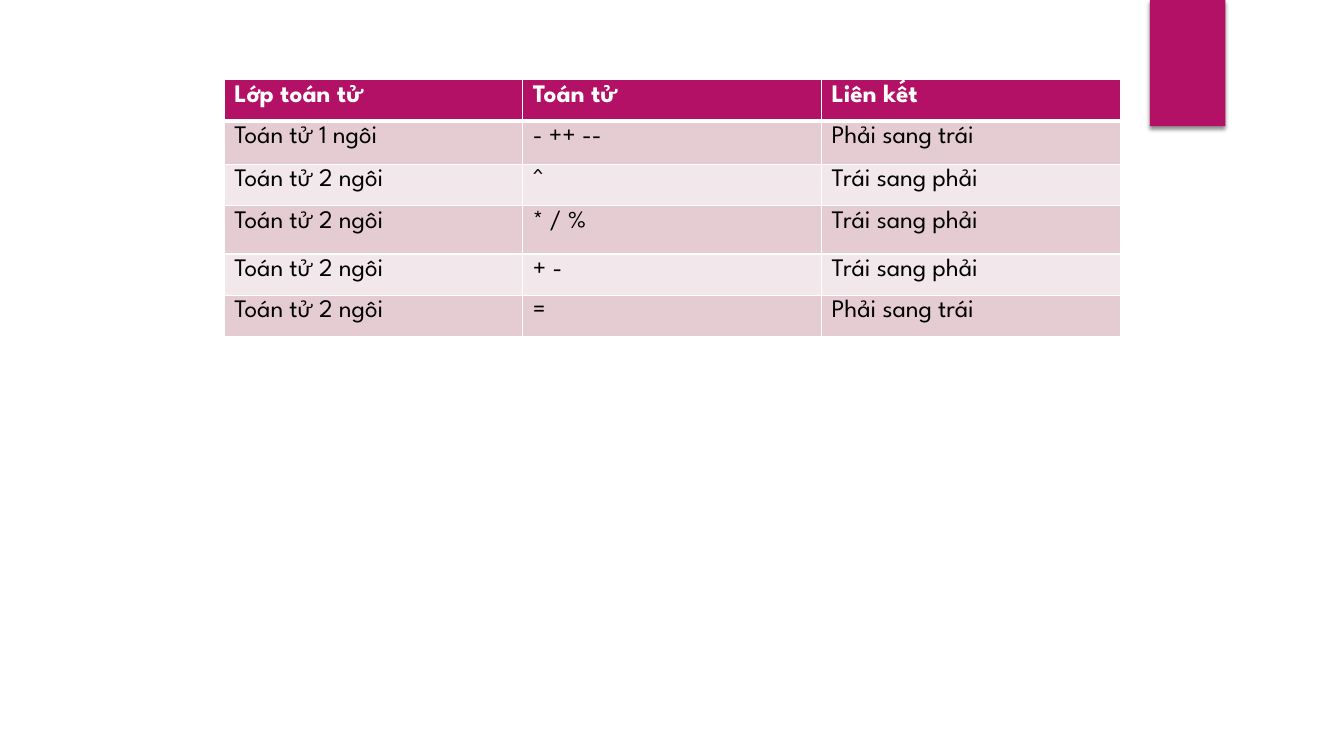
from dataclasses import dataclass

from lxml.etree import SubElement
from pptx import Presentation
from pptx.dml.color import RGBColor as Color
from pptx.enum.shapes import MSO_SHAPE as Shape
from pptx.oxml.ns import qn
from pptx.util import Cm, Pt


@dataclass(frozen=True)
class Theme:
    font: str = "League Spartan"
    text_size: int = 18
    accent: str = "B31166"
    light: str = "FFFFFF"
    dark: str = "000000"
    bands: tuple = ("E5CCD3", "F2E7EA")
    thin_line: int = 1
    thick_line: int = 3


HEADER = ("Lớp toán tử", "Toán tử", "Liên kết")
OPERATORS = (
    ("Toán tử 1 ngôi", "- ++ --", "Phải sang trái"),
    ("Toán tử 2 ngôi", "^", "Trái sang phải"),
    ("Toán tử 2 ngôi", "* / %", "Trái sang phải"),
    ("Toán tử 2 ngôi", "+ -", "Trái sang phải"),
    ("Toán tử 2 ngôi", "=", "Phải sang trái"),
)
ROW_HEIGHTS = (1.04, 1.09, 1.04, 1.22, 1.04, 1.04)


class SlideBuilder:
    def __init__(self, slide, theme):
        self.slide = slide
        self.theme = theme

    def ribbon(self, left, top, width, height):
        box = self.slide.shapes.add_shape(
            Shape.RECTANGLE, Cm(left), Cm(top), Cm(width), Cm(height))
        box.fill.solid()
        box.fill.fore_color.rgb = Color.from_string(self.theme.accent)
        box.line.fill.background()
        box.shadow.inherit = False
        self.drop_shadow(box)

    def drop_shadow(self, box):
        effects = box._element.spPr.find(qn("a:effectLst"))
        shadow = SubElement(effects, qn("a:outerShdw"), blurRad=str(Pt(3)),
                            dist=str(Pt(2)), dir="5400000", rotWithShape="0")
        color = SubElement(shadow, qn("a:srgbClr"), val=self.theme.dark)
        SubElement(color, qn("a:alpha"), val="45000")

    def table(self, left, top, width, heights, header, body):
        """Add a table with a bold header row and alternating body colours."""
        theme = self.theme
        rows = (header, *body)
        table = self.slide.shapes.add_table(
            len(rows), len(header), Cm(left), Cm(top),
            Cm(width), Cm(sum(heights))).table
        for row, height in zip(table.rows, heights):
            row.height = Cm(height)
        for i, texts in enumerate(rows):
            is_header = i == 0
            fill = theme.accent if is_header else theme.bands[(i - 1) % 2]
            for j, text in enumerate(texts):
                cell = table.cell(i, j)
                self.cell_borders(cell, is_header)
                cell.fill.solid()
                cell.fill.fore_color.rgb = Color.from_string(fill)
                self.cell_text(cell, text, is_header)

    def cell_borders(self, cell, is_header):
        """Draw the sides; a body row shares its top line with the row above."""
        theme = self.theme
        widths = {"lnL": theme.thin_line, "lnR": theme.thin_line}
        if is_header:
            widths["lnT"] = theme.thin_line
        widths["lnB"] = theme.thick_line if is_header else theme.thin_line
        properties = cell._tc.get_or_add_tcPr()
        for side, width in widths.items():
            line = SubElement(properties, qn(f"a:{side}"), w=str(Pt(width)))
            fill = SubElement(line, qn("a:solidFill"))
            SubElement(fill, qn("a:srgbClr"), val=theme.light)

    def cell_text(self, cell, text, is_header):
        theme = self.theme
        span = cell.text_frame.paragraphs[0].add_run()
        span.text = text
        span.font.name = theme.font
        span.font.size = Pt(theme.text_size)
        span.font.bold = is_header
        span.font.color.rgb = Color.from_string(
            theme.light if is_header else theme.dark)


def main():
    deck = Presentation()
    deck.slide_width, deck.slide_height = Cm(33.87), Cm(19.05)
    page = SlideBuilder(deck.slides.add_slide(deck.slide_layouts[6]), Theme())
    page.ribbon(28.98, 0, 1.9, 3.18)
    page.table(5.65, 2.01, 22.58, ROW_HEIGHTS, HEADER, OPERATORS)
    deck.save("out.pptx")


if __name__ == "__main__":
    main()
